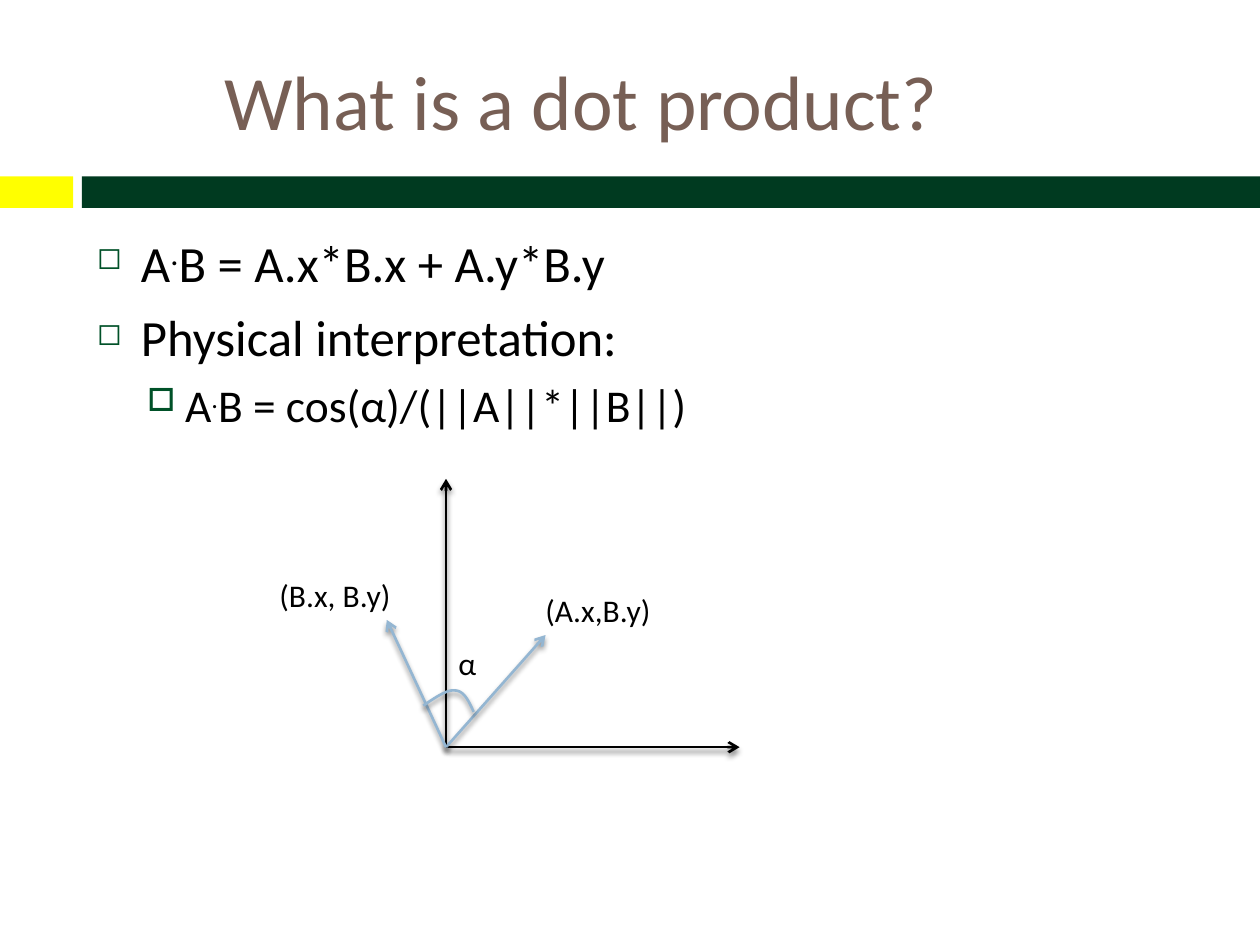
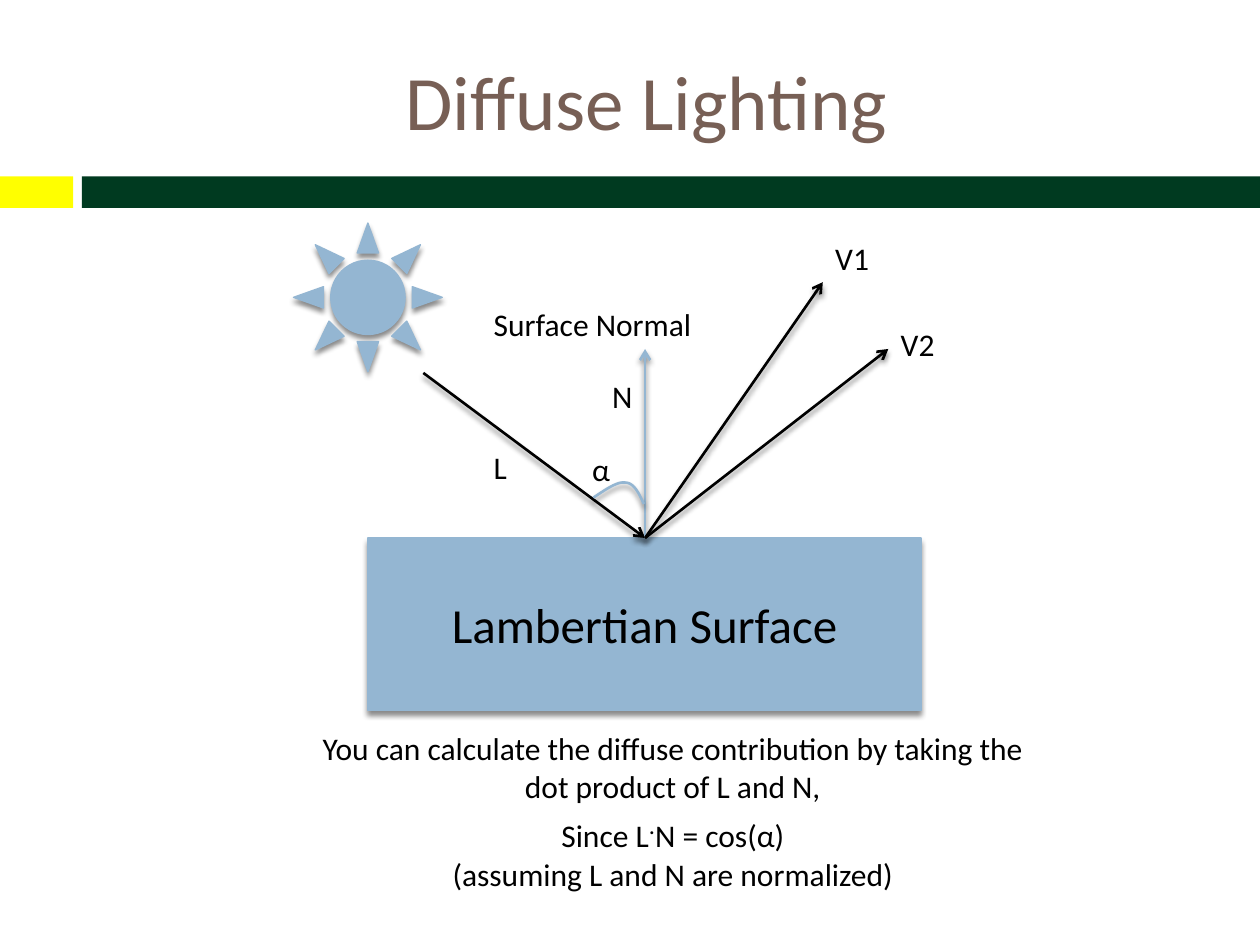
from lxml.etree import SubElement
from pptx import Presentation
from pptx.dml.color import RGBColor
from pptx.enum.shapes import MSO_CONNECTOR as Line, MSO_SHAPE as Preset
from pptx.enum.text import MSO_ANCHOR as Anchor, MSO_AUTO_SIZE as AutoSize, PP_ALIGN as Align
from pptx.oxml.ns import qn
from pptx.util import Inches, Pt

FONT = "Calibri"
BLACK, BLUE, BROWN = "000000", "94B6D2", "775F55"
YELLOW, GREEN, BULLET_GREEN = "FFFF00", "003A20", "005128"
LINE_WIDTH = 1.5
# Angle mark: start point, then two cubic curves, relative to its left end
ANGLE_CURVES = [[(0, 0), (0.09, -0.06), (0.19, -0.13), (0.25, -0.12)],
                [(0.25, -0.12), (0.32, -0.12), (0.36, -0.04), (0.4, 0.05)]]


def rgb(color):
    return RGBColor.from_string(color)


def inches(*lengths):
    return [Inches(length) for length in lengths]


def set_font(paragraph, size, color=BLACK):
    font = paragraph.font
    font.name, font.size = FONT, Pt(size)
    font.color.rgb = rgb(color)


def add_shadow(shape):
    effects = SubElement(shape._element.spPr, qn("a:effectLst"))
    outer = SubElement(effects, qn("a:outerShdw"), blurRad="38100",
                       dist="30480", dir="5400000", rotWithShape="0")
    tint = SubElement(outer, qn("a:srgbClr"), val=BLACK)
    SubElement(tint, qn("a:alpha"), val="45000")


def style_line(shape, color, width=LINE_WIDTH):
    shape.line.color.rgb = rgb(color)
    shape.line.width = Pt(width)


def add_block(slide, preset, box, color, shadowed=False):
    block = slide.shapes.add_shape(preset, *inches(*box))
    block.fill.solid()
    block.fill.fore_color.rgb = rgb(color)
    if shadowed:
        style_line(block, color, 0.79)
        add_shadow(block)
    else:
        block.line.fill.background()
        block.shadow.inherit = False
    return block


def add_titled_slide(deck, title_text, title_width):
    slide = deck.slides.add_slide(deck.slide_layouts[5])
    # Two-colour band under the title
    add_block(slide, Preset.RECTANGLE, (0, 1.4, 0.58, 0.25), YELLOW)
    add_block(slide, Preset.RECTANGLE, (0.65, 1.4, 9.35, 0.25), GREEN)
    title = slide.shapes.title
    title.left, title.top, title.width, title.height = inches(0.67, 0.25, title_width, 1.08)
    frame = title.text_frame
    frame.text = title_text
    frame.auto_size = AutoSize.NONE
    frame.vertical_anchor = Anchor.MIDDLE
    frame.paragraphs[0].alignment = Align.CENTER
    set_font(frame.paragraphs[0], 44, BROWN)
    return slide


def add_arrow(slide, start, end, color=BLACK):
    arrow = slide.shapes.add_connector(Line.STRAIGHT, *inches(*start, *end))
    style_line(arrow, color)
    SubElement(arrow.line._get_or_add_ln(), qn("a:tailEnd"), type="arrow")
    add_shadow(arrow)


def add_angle_mark(slide, left, top, steps=12):
    points = []
    for p0, p1, p2, p3 in ANGLE_CURVES:
        for step in range(steps + 1):
            t = step / steps
            u = 1 - t
            points.append([u**3 * a + 3 * u * u * t * b + 3 * u * t * t * c + t**3 * d
                           for a, b, c, d in zip(p0, p1, p2, p3)])
    places = [inches(left + x, top + y) for x, y in points]
    builder = slide.shapes.build_freeform(*places[0])
    builder.add_line_segments(places[1:], close=False)
    mark = builder.convert_to_shape()
    mark.fill.background()
    style_line(mark, BLUE)
    add_shadow(mark)


def add_label(slide, text, left, top, width):
    frame = slide.shapes.add_textbox(*inches(left, top, width, 0.4)).text_frame
    frame.word_wrap = False
    frame.text = text
    set_font(frame.paragraphs[0], 18)


def add_text(slide, box):
    frame = slide.shapes.add_textbox(*inches(*box)).text_frame
    frame.word_wrap = True
    return frame


def next_paragraph(frame, index):
    return frame.paragraphs[0] if index == 0 else frame.add_paragraph()


def fill_product(paragraph, text, size, dot_size):
    """Write text, raising the dot of a product marked with '·'."""
    before, dot, after = text.partition("·")
    set_font(paragraph, size)
    paragraph.add_run().text = before
    if dot:
        raised = paragraph.add_run()
        raised.text = "."
        raised.font.size = Pt(dot_size)
        raised._r.get_or_add_rPr().set("baseline", "30000")
        paragraph.add_run().text = after


def set_bullet(paragraph, char, percent, margin, hanging):
    props = paragraph._p.get_or_add_pPr()
    props.set("marL", str(Inches(margin)))
    props.set("indent", str(-Inches(hanging)))
    SubElement(SubElement(props, qn("a:buClr")), qn("a:srgbClr"), val=BULLET_GREEN)
    SubElement(props, qn("a:buSzPct"), val=str(percent * 1000))
    SubElement(props, qn("a:buChar"), char=char)


def add_bullets(slide, box, items):
    frame = add_text(slide, box)
    for index, (level, text) in enumerate(items):
        paragraph = next_paragraph(frame, index)
        paragraph.level = level
        if level == 0:
            set_bullet(paragraph, "◻", 60, 0.35, 0.35)
        else:
            set_bullet(paragraph, "□", 70, 0.7, 0.3)
        if index:
            paragraph.space_before = Pt(5.5 if level else 7)
        fill_product(paragraph, text, 26 if level else 29, 32 if level == 0 else 26)


def add_centred_text(slide, box, lines):
    frame = add_text(slide, box)
    for index, text in enumerate(lines):
        paragraph = next_paragraph(frame, index)
        paragraph.alignment = Align.CENTER
        fill_product(paragraph, text, 18, 24)


def build_dot_product(deck):
    slide = add_titled_slide(deck, "What is a dot product?", 7.89)
    add_bullets(slide, (0.67, 1.75, 8.92, 4.92), [
        (0, "A·B = A.x*B.x + A.y*B.y"),
        (0, "Physical interpretation:"),
        (1, "A·B = cos(α)/(||A||*||B||)"),
    ])
    # Axes and the two vectors
    origin = (3.54, 5.93)
    for tip, color in [((5.87, 5.93), BLACK), ((3.54, 3.8), BLACK),
                       ((4.33, 5.04), BLUE), ((3.07, 4.92), BLUE)]:
        add_arrow(slide, origin, tip, color)
    add_label(slide, "(A.x,B.y)", 4.23, 4.64, 1.17)
    add_label(slide, "(B.x, B.y)", 2.12, 4.52, 1.24)
    add_label(slide, "α", 3.54, 5.06, 0.35)
    add_angle_mark(slide, 3.36, 5.6)


def build_diffuse_lighting(deck):
    slide = add_titled_slide(deck, "Diffuse Lighting", 8.92)
    # Surface and light source
    surface = add_block(slide, Preset.RECTANGLE, (2.92, 4.27, 4.39, 1.37), BLUE, True)
    surface.text_frame.text = "Lambertian Surface"
    surface.text_frame.vertical_anchor = Anchor.MIDDLE
    surface_name = surface.text_frame.paragraphs[0]
    surface_name.alignment = Align.CENTER
    set_font(surface_name, 28)
    add_block(slide, Preset.SUN, (2.33, 1.77, 1.18, 1.18), BLUE, True)

    # Light ray, normal and view directions
    hit = (5.12, 4.27)
    add_arrow(slide, (3.36, 2.96), hit)
    add_arrow(slide, hit, (5.12, 2.77), BLUE)
    add_angle_mark(slide, 4.71, 3.95)
    for view_tip in [(6.53, 2.24), (7.05, 2.77)]:
        add_arrow(slide, hit, view_tip)

    for text, left, top, width in [
        ("Surface Normal", 3.82, 2.37, 1.96), ("N", 4.76, 2.94, 0.38),
        ("L", 3.82, 3.51, 0.33), ("α", 4.6, 3.52, 0.35),
        ("V1", 6.53, 1.85, 0.52), ("V2", 7.05, 2.53, 0.52),
    ]:
        add_label(slide, text, left, top, width)
    add_centred_text(slide, (2.35, 5.74, 5.98, 1.31), [
        "You can calculate the diffuse contribution by taking the dot product of L and N,",
        "Since L·N = cos(α)",
        "(assuming L and N are normalized)",
    ])


def main():
    deck = Presentation()
    deck.slide_width, deck.slide_height = inches(10, 7.5)
    build_dot_product(deck)
    build_diffuse_lighting(deck)
    deck.save("out.pptx")


if __name__ == "__main__":
    main()
